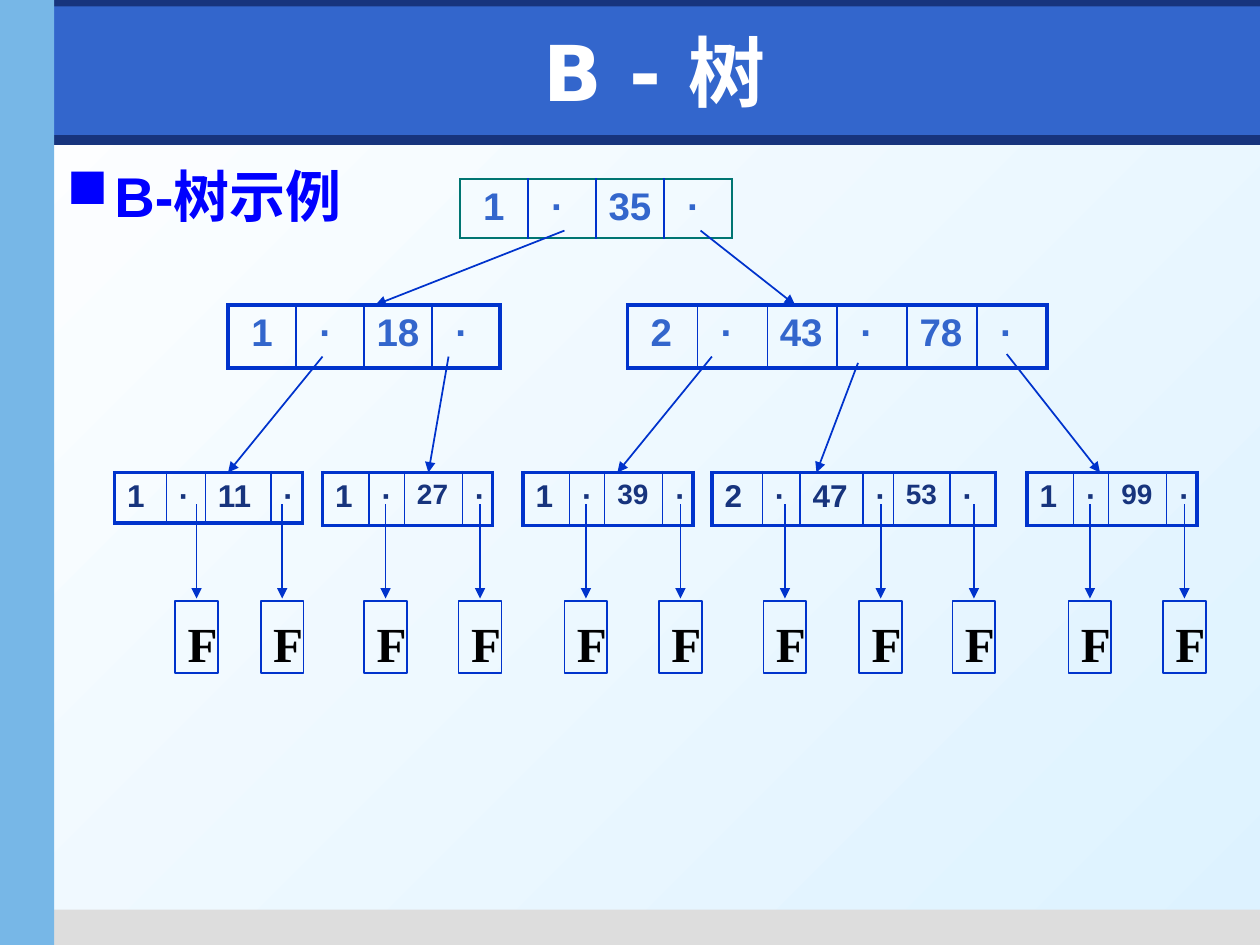
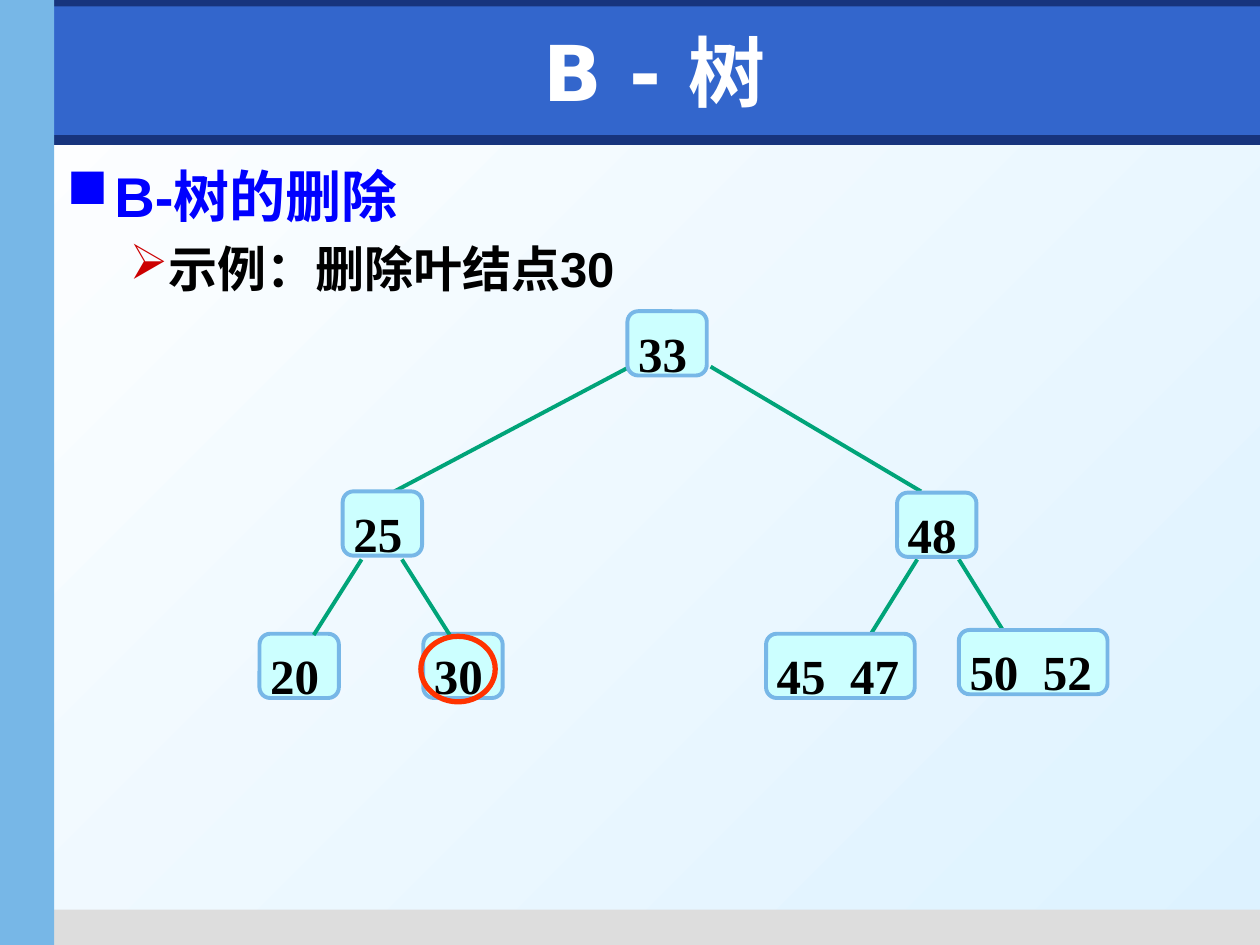
from lxml.etree import SubElement
from pptx import Presentation
from pptx.dml.color import RGBColor
from pptx.enum.shapes import MSO_CONNECTOR as Connector, MSO_SHAPE as Shape
from pptx.enum.text import MSO_ANCHOR as Anchor, PP_ALIGN as Align
from pptx.oxml.ns import qn
from pptx.util import Inches, Pt

WHITE = RGBColor(0xFF, 0xFF, 0xFF)
BLACK = RGBColor(0x00, 0x00, 0x00)
PALE = RGBColor(0xDD, 0xF2, 0xFF)
NAVY = RGBColor(0x17, 0x34, 0x7D)
GREY = RGBColor(0xDD, 0xDD, 0xDD)
ROYAL = RGBColor(0x33, 0x66, 0xCC)
SKY = RGBColor(0x77, 0xB7, 0xE7)
HEADING = RGBColor(0x00, 0x00, 0xFF)
CRIMSON = RGBColor(0xCC, 0x00, 0x00)
INK = RGBColor(0x00, 0x33, 0xCC)
TEAL = RGBColor(0x00, 0x75, 0x72)
GREEN = RGBColor(0x00, 0xA4, 0x79)
AQUA = RGBColor(0xCC, 0xFF, 0xFF)
ORANGE = RGBColor(0xFF, 0x33, 0x00)

BANDS = [
    (0.04, 1.07, 9.96, 0.08, NAVY),
    (0.35, 7.22, 9.65, 0.28, GREY),
    (0, -0.03, 10, 0.24, NAVY),
    (0.43, 0.05, 9.57, 1.02, ROYAL),
    (0, 0, 0.43, 7.5, SKY),
]
DOT = "·"
SERIF = "Times New Roman"


def set_font(font, size, color, name):
    """Apply the bold text style of the deck."""
    font.size, font.bold, font.name = Pt(size), True, name
    font.color.rgb = color


def add_box(page, kind, box, fill=None, line=None, weight=1):
    """Add a preset shape with optional fill and outline."""
    shape = page.shapes.add_shape(kind, *map(Inches, box))
    shape.shadow.inherit = False
    if fill is None:
        shape.fill.background()
    else:
        shape.fill.solid()
        shape.fill.fore_color.rgb = fill
    if line is None:
        shape.line.fill.background()
    else:
        shape.line.color.rgb, shape.line.width = line, Pt(weight)
    return shape


def add_label(shape, text, margins, align=Align.LEFT):
    """Write a serif label at the top of a shape."""
    frame = shape.text_frame
    frame.word_wrap, frame.vertical_anchor = True, Anchor.TOP
    (frame.margin_left, frame.margin_top,
     frame.margin_right, frame.margin_bottom) = map(Inches, margins)
    para = frame.paragraphs[0]
    para.text, para.alignment = text, align
    set_font(para.font, 28, BLACK, SERIF)


def add_line(page, start, end, color, weight, arrow=False):
    """Draw a straight line, with an arrowhead at its end on request."""
    line = page.shapes.add_connector(
        Connector.STRAIGHT, *map(Inches, (*start, *end)))
    line.line.color.rgb, line.line.width = color, Pt(weight)
    props = line.element.spPr
    if arrow:
        SubElement(props.find(qn("a:ln")), qn("a:tailEnd"), type="triangle")
    SubElement(props, qn("a:effectLst"))


def add_bullet(para, char, color, margin, indent):
    """Give a paragraph a coloured bullet and a hanging indent."""
    props = para._p.get_or_add_pPr()
    props.set("marL", str(Inches(margin)))
    props.set("indent", str(Inches(indent)))
    before = SubElement(props, qn("a:spcBef"))
    SubElement(before, qn("a:spcPct"), val="20000")
    tint = SubElement(props, qn("a:buClr"))
    SubElement(tint, qn("a:srgbClr"), val=str(color))
    SubElement(props, qn("a:buChar"), char=char)


def add_page(deck, title, heading, detail=None):
    """Start a slide with its background, bands, title and bullets."""
    page = deck.slides.add_slide(deck.slide_layouts[6])
    fill = page.background.fill
    fill.gradient()
    fill.gradient_angle = 315
    for stop, color in zip(fill.gradient_stops, (WHITE, PALE)):
        stop.color.rgb = color
    for *box, color in BANDS:
        add_box(page, Shape.RECTANGLE, box, color)
    frame = page.shapes.add_textbox(
        *map(Inches, (0.59, 0.13, 9.21, 0.87))).text_frame
    frame.word_wrap, frame.vertical_anchor = True, Anchor.MIDDLE
    para = frame.paragraphs[0]
    para.text, para.alignment = title, Align.CENTER
    set_font(para.font, 44, WHITE, "DejaVu Sans")
    frame = page.shapes.add_textbox(
        *map(Inches, (0.43, 1.23, 9.37, 5.9))).text_frame
    frame.word_wrap = True
    para = frame.paragraphs[0]
    para.text = heading
    add_bullet(para, "■", HEADING, 0.38, -0.38)
    set_font(para.font, 32, HEADING, "Arial")
    if detail:
        para = frame.add_paragraph()
        para.text, para.level = detail, 1
        add_bullet(para, "➢", CRIMSON, 0.81, -0.31)
        set_font(para.font, 28, BLACK, "Arial")
    return page


def set_border(cell, side, color, weight):
    """Draw one border of a table cell."""
    line = SubElement(cell._tc.get_or_add_tcPr(), qn(f"a:ln{side}"),
                      w=str(Pt(weight)))
    fill = SubElement(line, qn("a:solidFill"))
    SubElement(fill, qn("a:srgbClr"), val=str(color))


def add_node(page, left, top, height, widths, texts, size, color,
             edge=INK, weight=2.25):
    """Draw a tree node as a one-row table of counts, keys and pointers."""
    box = map(Inches, (left, top, sum(widths), height))
    table = page.shapes.add_table(1, len(widths), *box).table
    table.first_row = table.horz_banding = False
    last = len(widths) - 1
    for index, (width, text) in enumerate(zip(widths, texts)):
        table.columns[index].width = Inches(width)
        cell = table.cell(0, index)
        for side in "LRTB":
            inner = side == "L" and index > 0 or side == "R" and index < last
            set_border(cell, side, *((INK, 1) if inner else (edge, weight)))
        cell.fill.background()
        para = cell.text_frame.paragraphs[0]
        para.text = text
        narrow_key = len(text) == 2 and width < 0.5
        set_font(para.font, 16 if narrow_key else size, color, "Arial")


def add_branch(page, left, top, texts, width, height, **style):
    """Draw an inner node with equal columns."""
    add_node(page, left, top, height, [width] * len(texts), texts, 22, ROYAL,
             **style)


def add_leaf(page, left, top, widths, texts, pointers, height=0.42):
    """Draw a leaf node and the failure box below each pointer."""
    add_node(page, left, top, height, widths, texts, 18, NAVY)
    for offset in pointers:
        x = left + offset
        box = add_box(page, Shape.RECTANGLE, (x - 0.17, top + 1.02, 0.34, 0.57),
                      line=INK)
        add_label(box, "F", (0.1, 0.1, 0.1, 0.05))
        add_line(page, (x, top + 0.25), (x, top + 1), INK, 1, arrow=True)


def add_example(page):
    """Draw the sample B-tree with its pointers."""
    pointer = f" {DOT}"
    add_branch(page, 3.65, 1.42, [" 1", pointer, "35", pointer], 0.54, 0.42,
               edge=TEAL, weight=1)
    add_branch(page, 1.81, 2.42, [" 1", pointer, "18", pointer], 0.54, 0.5)
    add_branch(page, 4.98, 2.42,
               [" 2", pointer, "43", pointer, "78", pointer], 0.555, 0.5)
    add_leaf(page, 0.91, 3.75, [0.41, 0.31, 0.52, 0.25],
             ["1", DOT, "11", DOT], [0.65, 1.33], 0.39)
    for left, key in ((2.56, "27"), (4.15, "39"), (8.15, "99")):
        add_leaf(page, left, 3.75, [0.37, 0.28, 0.46, 0.23],
                 ["1", DOT, key, DOT], [0.5, 1.25])
    add_leaf(page, 5.65, 3.75, [0.4, 0.3, 0.5, 0.24, 0.45, 0.36],
             ["2", DOT, "47", DOT, "53", DOT], [0.58, 1.34, 2.08])
    for start, end in (
            ((4.48, 1.83), (2.98, 2.42)), ((5.56, 1.83), (6.31, 2.42)),
            ((2.56, 2.83), (1.81, 3.75)), ((3.56, 2.83), (3.4, 3.75)),
            ((5.65, 2.83), (4.9, 3.75)), ((6.81, 2.88), (6.48, 3.75)),
            ((7.99, 2.81), (8.73, 3.75))):
        add_line(page, start, end, INK, 1, arrow=True)


def add_deletion(page):
    """Draw the tree from which a leaf is deleted."""
    for start, end in (
            ((5, 2.91), (3.13, 3.9)), ((5.64, 2.91), (7.31, 3.9)),
            ((7.28, 4.44), (6.9, 5.05)), ((7.61, 4.44), (7.99, 5.05))):
        add_line(page, start, end, GREEN, 2.25)
    for left, top, width, keys in (
            (7.12, 3.91, 0.63, "48"), (4.98, 2.47, 0.63, "33"),
            (3.36, 5.03, 0.63, "30"), (6.08, 5.03, 1.18, "45  47"),
            (7.61, 5, 1.18, "50  52"), (2.72, 3.9, 0.63, "25"),
            (2.06, 5.03, 0.63, "20")):
        box = add_box(page, Shape.ROUNDED_RECTANGLE, (left, top, width, 0.51),
                      AQUA, SKY, 2.25)
        add_label(box, keys, (0.06, 0.07, 0.02, 0.01), Align.JUSTIFY)
    for start, end in (((2.87, 4.44), (2.49, 5.04)),
                       ((3.19, 4.44), (3.57, 5.04))):
        add_line(page, start, end, GREEN, 2.25)
    add_box(page, Shape.OVAL, (3.34, 5.05, 0.59, 0.52), line=ORANGE, weight=3)


def main():
    """Build and save the deck."""
    deck = Presentation()
    deck.slide_width, deck.slide_height = Inches(10), Inches(7.5)
    add_example(add_page(deck, "B - 树", "B-树示例"))
    add_deletion(add_page(deck, "B - 树", "B-树的删除", "示例：删除叶结点30"))
    deck.save("out.pptx")


main()
